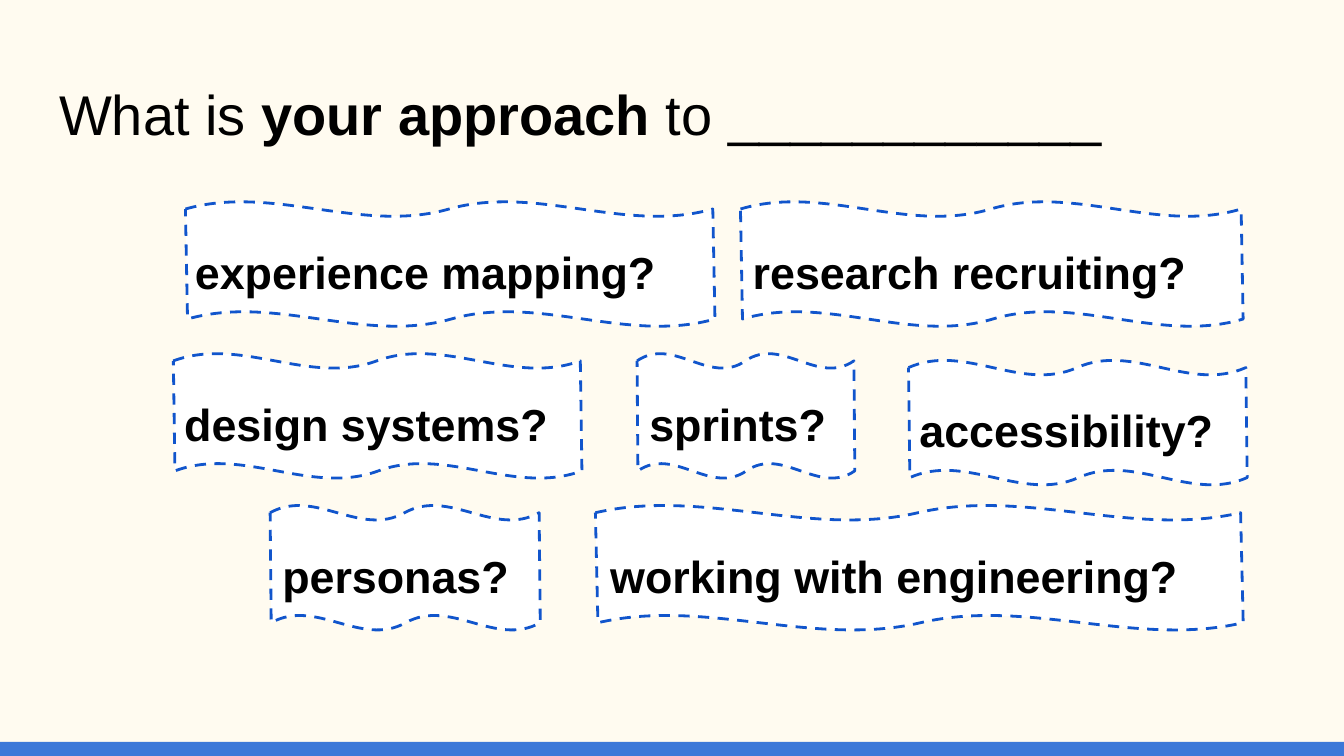
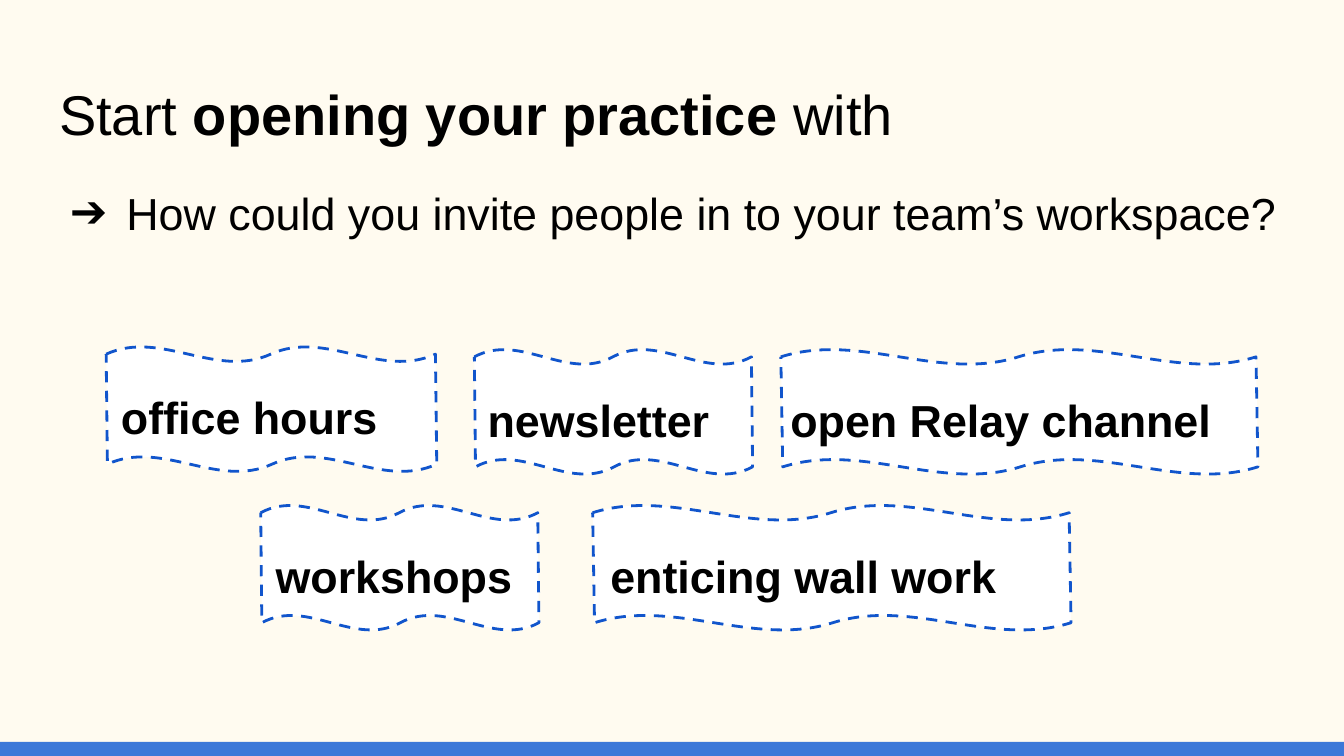
"""Builds two slides of wavy tags under a prompt about opening up a practice."""
from dataclasses import dataclass

from lxml.etree import SubElement
from pptx import Presentation
from pptx.dml.color import RGBColor as Rgb
from pptx.enum.dml import MSO_LINE_DASH_STYLE as Dash
from pptx.enum.shapes import MSO_SHAPE as Shape
from pptx.enum.text import MSO_ANCHOR as Anchor, MSO_AUTO_SIZE as Fit, PP_ALIGN as Align
from pptx.oxml.ns import qn
from pptx.util import Inches, Pt


@dataclass(frozen=True)
class Theme:
    paper: str = "FFFBF0"
    band: str = "3C78D8"
    edge: str = "1155CC"
    tag: str = "FFFFFF"
    ink: str = "000000"
    font: str = "Arial"
    title: int = 30
    text: int = 24


THEME = Theme()
WIDE = 10
HIGH = WIDE * 9 / 16
BAND = (0, 5.52, WIDE, 0.11)
TITLE = (0.34, 0.49, 9.32, 0.67)
BODY = (0.34, 1.28, 9.32, 1.05)
TAG_H, DROP, PAD = 0.93, 0.16, 0.1
ROWS = [1.5, 2.63, 3.76]

SLIDES = [
    {
        "title": [("What is ", False), ("your approach", True), (" to ____________", False)],
        "tags": [
            (" personas?", 2.01, ROWS[2], 2.01, 1.91, 2.33),
            (" design systems?", 1.29, ROWS[1], 3.04, 1.18, 3.29),
            (" accessibility?", 6.76, 2.68, 2.52, 6.65, 2.69),
            (" sprints?", 4.74, ROWS[1], 1.62, 4.64, 1.85),
            (" research recruiting?", 5.51, ROWS[0], 3.74, 5.41, 3.94),
            (" working with engineering?", 4.43, ROWS[2], 4.82, 4.35, 5),
            (" experience mapping?", 1.38, ROWS[0], 3.94, 1.26, 4.06),
        ],
    },
    {
        "title": [("Start ", False), ("opening your practice", True), (" with", False)],
        "body": "How could you invite people in to your team’s workspace?",
        "tags": [
            (" workshops", 1.94, ROWS[2], 2.07, 1.86, 2.38),
            (" office hours", 0.79, 2.58, 2.46, 0.71, 2.54),
            (" open Relay channel", 5.81, 2.6, 3.55, 5.69, 3.76),
            ("newsletter", 3.53, 2.6, 2.07, 3.53, 2.21),
            (" enticing wall work", 4.41, ROWS[2], 3.56, 4.35, 3.69),
        ],
    },
]


def apply(thing, **values):
    for name, value in values.items():
        setattr(thing, name, value)


def place(shape, box):
    for name, size in zip(("left", "top", "width", "height"), box):
        setattr(shape, name, Inches(size))


def paint(shape, color):
    shape.shadow.inherit = False
    shape.fill.solid()
    shape.fill.fore_color.rgb = Rgb.from_string(color)
    shape.line.fill.background()


def write(shape, runs, size, lines=1.0, after=0):
    frame = shape.text_frame
    apply(frame, word_wrap=True, auto_size=Fit.NONE, vertical_anchor=Anchor.TOP)
    for side in ("left", "top", "right", "bottom"):
        setattr(frame, "margin_" + side, Inches(PAD))
    para = frame.paragraphs[0]
    apply(para, alignment=Align.LEFT, line_spacing=lines,
          space_before=Pt(0), space_after=Pt(after))
    for words, bold in runs:
        run = para.add_run()
        run.text = words
        apply(run.font, name=THEME.font, size=Pt(size), bold=bold)
        run.font.color.rgb = Rgb.from_string(THEME.ink)
    return para


def add_arrow(para):
    props = para._p.get_or_add_pPr()
    props.set("marL", str(Inches(0.5)))
    props.set("indent", str(Inches(-0.42)))
    color = SubElement(props, qn("a:buClr"))
    SubElement(color, qn("a:srgbClr"), val=THEME.ink)
    SubElement(props, qn("a:buChar"), char="➔")


def add_tag(shapes, words, left, top, width, start, room):
    box = [Inches(n) for n in (left, top, width, TAG_H)]
    wave = shapes.add_shape(Shape.DOUBLE_WAVE, *box)
    wave.adjustments[0], wave.adjustments[1] = 0.06, 0.002
    paint(wave, THEME.tag)
    wave.line.color.rgb = Rgb.from_string(THEME.edge)
    apply(wave.line, width=Pt(1.5), dash_style=Dash.DASH)
    box = [Inches(n) for n in (start, top + DROP, room, TAG_H)]
    label = shapes.add_textbox(*box)
    write(label, [(words, True)], THEME.text, 1.15, 16)


def set_master(deck, slide):
    master = deck.slide_master
    master.background.fill.solid()
    master.background.fill.fore_color.rgb = Rgb.from_string(THEME.paper)
    band = slide.shapes.add_shape(Shape.RECTANGLE, *[Inches(n) for n in BAND])
    paint(band, THEME.band)
    band.element.nvSpPr.cNvPr.set("id", "99")
    master.shapes.element.append(band.element)


def add_slide(deck, page):
    layout = deck.slide_layouts[1 if "body" in page else 5]
    slide = deck.slides.add_slide(layout)
    title = slide.shapes.title
    place(title, TITLE)
    write(title, page["title"], THEME.title)
    if "body" in page:
        body = slide.placeholders[1]
        place(body, BODY)
        add_arrow(write(body, [(page["body"], False)], THEME.text))
    for tag in page["tags"]:
        add_tag(slide.shapes.add_group_shape().shapes, *tag)
    return slide


def main():
    deck = Presentation()
    deck.slide_width, deck.slide_height = Inches(WIDE), Inches(HIGH)
    slides = [add_slide(deck, page) for page in SLIDES]
    set_master(deck, slides[0])
    deck.save("out.pptx")


if __name__ == "__main__":
    main()
